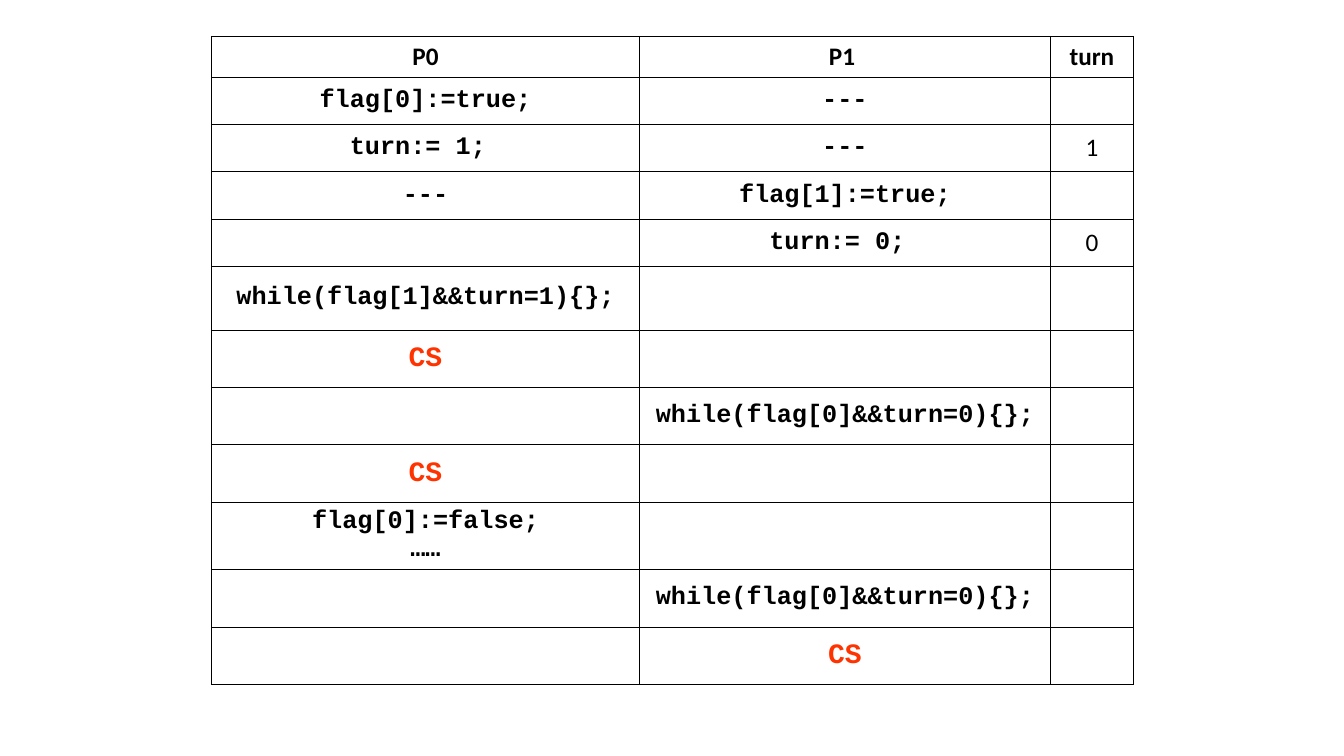
from lxml.etree import SubElement
from pptx import Presentation
from pptx.dml.color import RGBColor
from pptx.enum.text import MSO_ANCHOR, PP_ALIGN
from pptx.oxml.ns import qn
from pptx.util import Inches, Pt

BLACK = RGBColor(0x00, 0x00, 0x00)
WHITE = RGBColor(0xFF, 0xFF, 0xFF)
RED = RGBColor(0xFF, 0x33, 0x00)

LEFT, TOP = 2.1, 0.36
COLS = [4.24, 4.08, 0.82]
ROWS = [0.39] + [0.47] * 4 + [0.63] + [0.57] * 6
TURN_COL = 2

# One row per step: P0, P1, turn
STEPS = [
    ("P0", "P1 ", "turn"),
    ("flag[0]:=true;", "---", ""),
    ("turn:= 1; ", "---", "1"),
    ("---", "flag[1]:=true;", ""),
    ("", "turn:= 0; ", "0"),
    ("while(flag[1]&&turn=1){};", "", ""),
    ("CS", "", ""),
    ("", "while(flag[0]&&turn=0){};", ""),
    ("CS", "", ""),
    ("flag[0]:=false;\n……", "", ""),
    ("", "while(flag[0]&&turn=0){};", ""),
    ("", "CS", ""),
]


def set_borders(cell, width=Pt(0.75)):
    """Draw a thin line on all four sides; must come before the fill."""
    tcPr = cell._tc.get_or_add_tcPr()
    for side in ("a:lnL", "a:lnR", "a:lnT", "a:lnB"):
        ln = SubElement(tcPr, qn(side), w=str(width))
        fill = SubElement(ln, qn("a:solidFill"))
        SubElement(fill, qn("a:srgbClr"), val=str(BLACK))


def write_cell(cell, text, font_name, bold, size=18, color=BLACK):
    cell.vertical_anchor = MSO_ANCHOR.MIDDLE
    cell.text = text
    for p in cell.text_frame.paragraphs:
        p.alignment = PP_ALIGN.CENTER
        p.font.name = font_name
        p.font.size = Pt(size)
        p.font.bold = bold
        p.font.color.rgb = color


def add_trace_table(s):
    frame = s.shapes.add_table(len(ROWS), len(COLS), Inches(LEFT), Inches(TOP),
                               Inches(sum(COLS)), Inches(sum(ROWS)))
    table = frame.table
    table.first_row = table.horz_banding = False
    for column, width in zip(table.columns, COLS):
        column.width = Inches(width)
    for row, height in zip(table.rows, ROWS):
        row.height = Inches(height)

    for i, step in enumerate(STEPS):
        for j, text in enumerate(step):
            cell = table.cell(i, j)
            set_borders(cell)
            cell.fill.solid()
            cell.fill.fore_color.rgb = WHITE
            if not text:
                continue
            # Headings and turn values in Calibri, code in Courier New
            if i == 0 or j == TURN_COL:
                write_cell(cell, text, "Calibri", bold=i == 0)
            elif text == "CS":
                write_cell(cell, text, "Courier New", True, 20, RED)
            else:
                write_cell(cell, text, "Courier New", True)


def main():
    prs = Presentation()
    prs.slide_width, prs.slide_height = Inches(13.33), Inches(7.5)
    s = prs.slides.add_slide(prs.slide_layouts[6])
    add_trace_table(s)
    prs.save("out.pptx")


if __name__ == "__main__":
    main()
